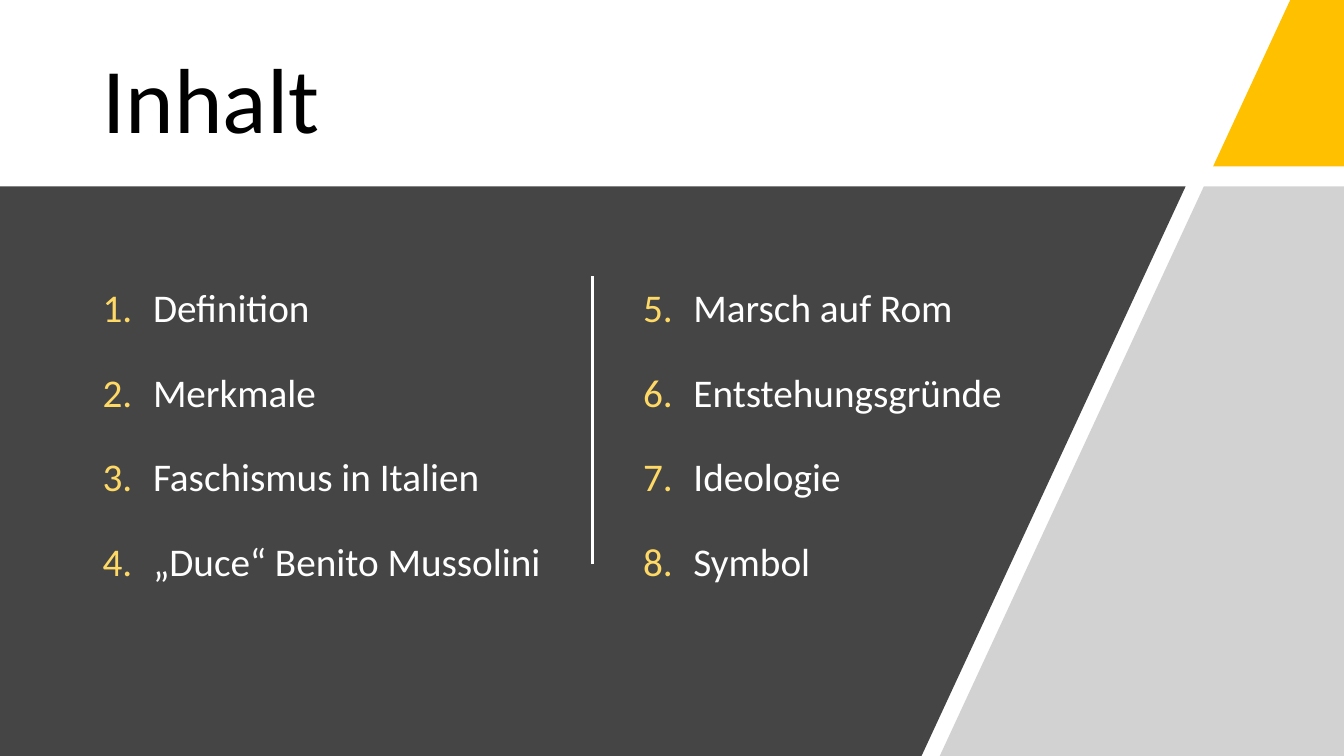
from lxml import etree
from pptx import Presentation
from pptx import util as u
from pptx.dml.color import RGBColor
from pptx.enum import shapes, text
from pptx.oxml.ns import qn

WHITE = RGBColor(0xFF, 0xFF, 0xFF)
BLACK = RGBColor(0x00, 0x00, 0x00)
CHARCOAL = RGBColor(0x45, 0x45, 0x45)
GREY = RGBColor(0xA6, 0xA6, 0xA6)
YELLOW = RGBColor(0xFF, 0xC0, 0x00)
PALE_YELLOW = RGBColor(0xFF, 0xD9, 0x66)

SLANT = 0.2608
HEADER_BOTTOM = 22
BODY_TOP = 24.67
DARK_FOOT = 68.57
LIGHT_FOOT = 69.92
LEFT_MARGIN = 6.9
LIST_TOP = 33.73
LIST_SIZE = (34.88, 43.73)


def slanted_edge(foot, y):
    return foot + SLANT * (100 - y), y


def add_text(para, content, *, size, color, font):
    span = para.add_run()
    span.text = content
    span.font.size = u.Pt(size)
    span.font.name = font
    span.font.color.rgb = color


class SlideBuilder:
    font = "Calibri"

    def __init__(self, deck):
        self.width, self.height = deck.slide_width, deck.slide_height
        self.page = deck.slides.add_slide(deck.slide_layouts[6])

    def place(self, x, y):
        return round(self.width * x / 100), round(self.height * y / 100)

    def background(self, color):
        fill = self.page.background.fill
        fill.solid()
        fill.fore_color.rgb = color

    def paint(self, shape, color, opacity=100):
        shape.shadow.inherit = False
        shape.line.fill.background()
        shape.fill.solid()
        shape.fill.fore_color.rgb = color
        if opacity < 100:
            tone = shape.fill._xPr.find(qn("a:solidFill"))[0]
            etree.SubElement(tone, qn("a:alpha"), val=str(opacity * 1000))

    def rectangle(self, position, size, color):
        shape = self.page.shapes.add_shape(
            shapes.MSO_SHAPE.RECTANGLE, *self.place(*position), *self.place(*size))
        self.paint(shape, color)

    def polygon(self, corners, color, opacity=100):
        start, *rest = [self.place(*corner) for corner in corners]
        outline = self.page.shapes.build_freeform(*start)
        outline.add_line_segments(rest, close=True)
        self.paint(outline.convert_to_shape(), color, opacity)

    def line(self, start, end, color, weight):
        connector = self.page.shapes.add_connector(
            shapes.MSO_CONNECTOR.STRAIGHT, *self.place(*start), *self.place(*end))
        connector.line.color.rgb = color
        connector.line.width = u.Pt(weight)
        etree.SubElement(connector._element.spPr, qn("a:effectLst"))

    def text_box(self, position, size, anchor):
        box = self.page.shapes.add_textbox(*self.place(*position), *self.place(*size))
        box.text_frame.word_wrap = True
        box.text_frame.vertical_anchor = anchor
        return box.text_frame

    def title(self, content, position, size):
        para = self.text_box(position, size, text.MSO_ANCHOR.MIDDLE).paragraphs[0]
        para.line_spacing = 0.9
        add_text(para, content, size=66, color=BLACK, font=self.font)

    def numbered_list(self, items, position, size, start):
        frame = self.text_box(position, size, text.MSO_ANCHOR.TOP)
        for index, item in enumerate(items):
            para = frame.add_paragraph() if index else frame.paragraphs[0]
            para.line_spacing = 1.5
            para.space_before = u.Pt(10)
            self.number(para, start)
            add_text(para, item, size=28, color=WHITE, font=self.font)

    def number(self, para, start):
        properties = para._p.get_or_add_pPr()
        indent = u.Inches(0.5)
        properties.set("marL", str(indent))
        properties.set("indent", str(-indent))
        tint = etree.SubElement(properties, qn("a:buClr"))
        etree.SubElement(tint, qn("a:srgbClr"), val=str(PALE_YELLOW))
        etree.SubElement(properties, qn("a:buFont"), typeface=self.font)
        etree.SubElement(properties, qn("a:buAutoNum"), type="arabicPeriod", startAt=str(start))


def main():
    deck = Presentation()
    deck.slide_width, deck.slide_height = u.Inches(13.33), u.Inches(7.5)
    slide = SlideBuilder(deck)

    slide.background(CHARCOAL)
    slide.rectangle((0, 0), (100, 100), WHITE)
    slide.title("Inhalt", (LEFT_MARGIN, 5.33), (80.5, 16.67))

    slide.polygon([slanted_edge(LIGHT_FOOT, 0), (100, 0), (100, HEADER_BOTTOM),
                   slanted_edge(LIGHT_FOOT, HEADER_BOTTOM)], YELLOW)
    slide.polygon([(0, BODY_TOP), slanted_edge(DARK_FOOT, BODY_TOP),
                   slanted_edge(DARK_FOOT, 100), (0, 100)], CHARCOAL)
    slide.polygon([slanted_edge(LIGHT_FOOT, BODY_TOP), (100, BODY_TOP), (100, 100),
                   slanted_edge(LIGHT_FOOT, 100)], GREY, opacity=50)

    slide.numbered_list(
        ["Definition", "Merkmale", "Faschismus in Italien", "„Duce“ Benito Mussolini"],
        (LEFT_MARGIN, LIST_TOP), LIST_SIZE, start=1)
    slide.line((44.11, 36.53), (44.11, 74.67), WHITE, 2.25)
    slide.numbered_list(
        ["Marsch auf Rom", "Entstehungsgründe", "Ideologie", "Symbol"],
        (47.11, LIST_TOP), LIST_SIZE, start=5)

    deck.save("out.pptx")


if __name__ == "__main__":
    main()
